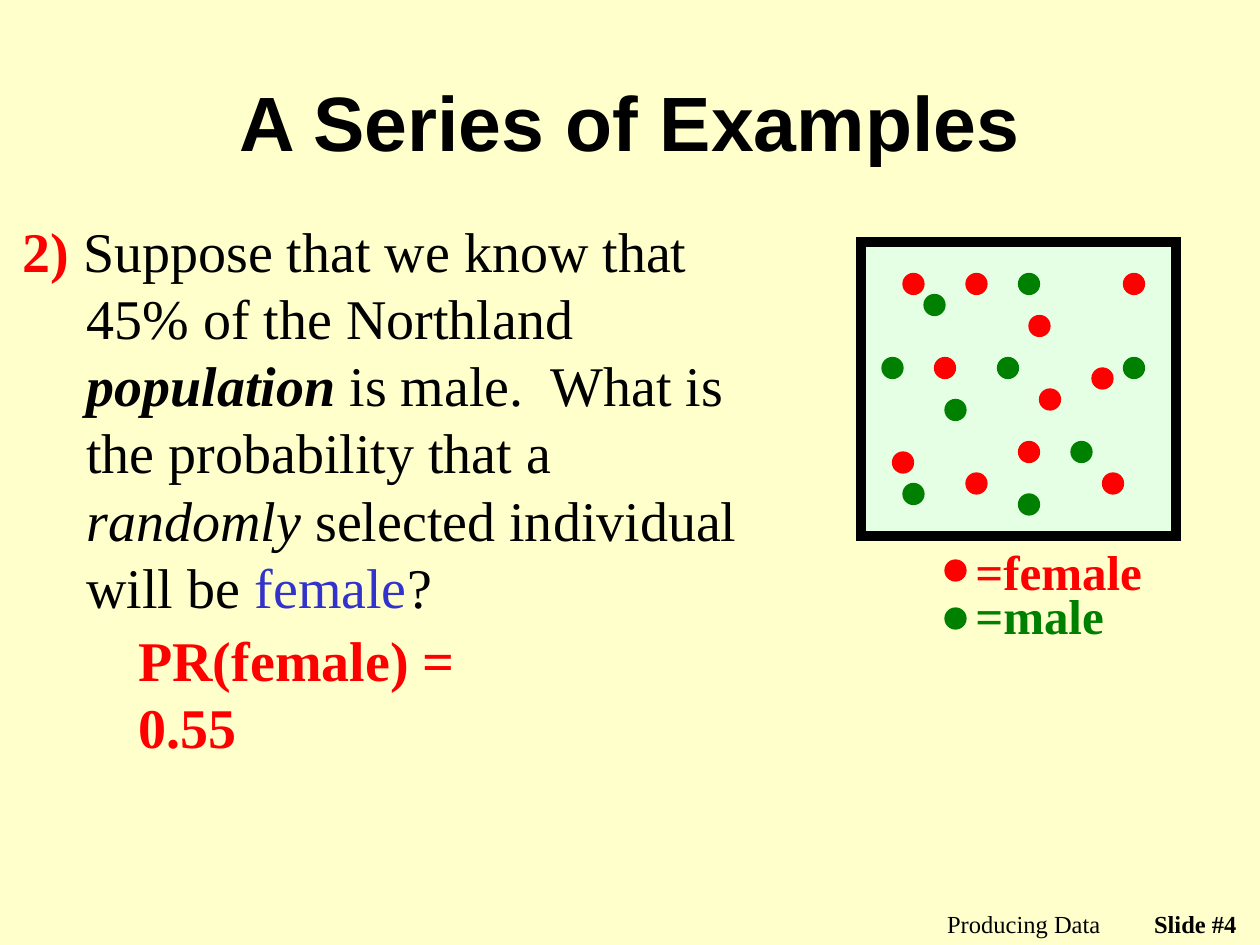
from dataclasses import dataclass

from lxml.etree import SubElement
from pptx import Presentation
from pptx.dml.color import RGBColor
from pptx.enum.shapes import MSO_SHAPE as Shape
from pptx.enum.text import MSO_ANCHOR as Anchor, MSO_AUTO_SIZE as AutoSize, PP_ALIGN as Align
from pptx.oxml.ns import qn
from pptx.util import Pt

PX = 914400 / 126


@dataclass(frozen=True)
class Theme:
    background: str = "FFFFCC"
    ink: str = "000000"
    female: str = "FF0000"
    male: str = "008000"
    accent: str = "3333CC"
    population: str = "CCFFFF"
    heading_font: str = "Arial"
    body_font: str = "Times New Roman"
    title_size: int = 44
    body_size: int = 32
    legend_size: int = 28
    footer_size: int = 14


THEME = Theme()
DOT = 21

# Dot positions inside the population, in half dots
FEMALES = [(7, 11), (3, 20), (10, 3), (22, 12), (15, 19), (16, 7),
           (17, 14), (10, 22), (23, 22), (4, 3), (25, 3)]
MALES = [(6, 5), (8, 15), (15, 3), (2, 11), (15, 24), (13, 11),
         (25, 11), (20, 19), (4, 23)]

QUESTION = [
    ("2) ", THEME.female, True, False),
    ("Suppose that we know that 45% of the Northland ", THEME.ink, False, False),
    ("population", THEME.ink, True, True),
    (" is male.  What is the probability that a ", THEME.ink, False, False),
    ("randomly", THEME.ink, False, True),
    (" selected individual will be ", THEME.ink, False, False),
    ("female", THEME.accent, False, False),
    ("?", THEME.ink, False, False),
]


def emu(*pixels):
    return [round(value * PX) for value in pixels]


def style_run(run, size, color, bold=False, italic=False, font=THEME.body_font):
    run.font.name, run.font.size = font, Pt(size)
    run.font.bold, run.font.italic = bold, italic
    run.font.color.rgb = RGBColor.from_string(color)


def add_text(slide, box, text, size, color, bold=False, font=THEME.body_font,
             align=Align.LEFT, anchor=Anchor.TOP):
    frame = slide.shapes.add_textbox(*emu(*box)).text_frame
    frame.word_wrap = True
    frame.vertical_anchor = anchor
    paragraph = frame.paragraphs[0]
    paragraph.text = text
    paragraph.alignment = align
    style_run(paragraph.runs[0], size, color, bold, font=font)
    return frame


def add_outlined(shapes, kind, box, fill, line, width):
    shape = shapes.add_shape(kind, *emu(*box))
    shape.shadow.inherit = False
    shape.fill.solid()
    shape.fill.fore_color.rgb = RGBColor.from_string(fill)
    shape.line.color.rgb = RGBColor.from_string(line)
    shape.line.width = Pt(width)
    return shape


def add_dot(shapes, left, top, color):
    add_outlined(shapes, Shape.OVAL, (left, top, DOT, DOT), color, color, 0.75)


def add_question(slide, box):
    frame = slide.shapes.add_textbox(*emu(*box)).text_frame
    frame.word_wrap = True
    paragraph = frame.paragraphs[0]
    for text, color, bold, italic in QUESTION:
        run = paragraph.add_run()
        run.text = text
        style_run(run, THEME.body_size, color, bold, italic)
    # Hanging indent and space before
    hanging = emu(64)[0]
    properties = paragraph._p.get_or_add_pPr()
    properties.set("marL", str(hanging))
    properties.set("indent", str(-hanging))
    before = SubElement(properties, qn("a:spcBef"))
    SubElement(before, qn("a:spcPct"), val="20000")


def add_population(slide, box):
    left, top = box[:2]
    shapes = slide.shapes.add_group_shape().shapes
    frame = add_outlined(shapes, Shape.RECTANGLE, box, THEME.population, THEME.ink, 6)
    # Half-transparent fill and square corners
    fill_color = frame._element.spPr.find(qn("a:solidFill"))[0]
    SubElement(fill_color, qn("a:alpha"), val="50000")
    SubElement(frame.line._get_or_add_ln(), qn("a:miter"), lim="800000")
    for color, people in ((THEME.female, FEMALES), (THEME.male, MALES)):
        for column, row in people:
            add_dot(shapes, left + column * DOT / 2, top + row * DOT / 2, color)


def add_legend(slide, box):
    left, top, width, _ = box
    entries = (("=female", THEME.female, 0, 25), ("=male", THEME.male, 44, 73))
    for label, color, label_top, dot_top in entries:
        add_text(slide, (left + 18, top + label_top, width - 18, 72), label,
                 THEME.legend_size, color, bold=True)
        add_dot(slide.shapes, left, top + dot_top, color)


def add_footer(slide, box):
    left, top, width, height = box
    source_width = 399
    add_text(slide, (left, top, source_width, height), "Producing Data",
             THEME.footer_size, THEME.ink, align=Align.RIGHT)
    add_text(slide, (left + source_width, top, width - source_width, height),
             "Slide #4", THEME.footer_size, THEME.ink, bold=True, align=Align.RIGHT)


def build_example_slide(deck):
    slide = deck.slides.add_slide(deck.slide_layouts[6])
    slide.background.fill.solid()
    slide.background.fill.fore_color.rgb = RGBColor.from_string(THEME.background)
    add_footer(slide, (714, 903, 535, 31))
    add_text(slide, (94, 42, 1072, 158), "A Series of Examples", THEME.title_size,
             THEME.ink, bold=True, font=THEME.heading_font,
             align=Align.CENTER, anchor=Anchor.MIDDLE)
    add_question(slide, (10, 210, 746, 462))
    answer = add_text(slide, (126, 619, 440, 79), "PR(female) = 0.55",
                      THEME.body_size, THEME.female, bold=True)
    answer.auto_size = AutoSize.SHAPE_TO_FIT_TEXT
    add_population(slide, (861, 242, 315, 294))
    add_legend(slide, (945, 535, 238, 116))


deck = Presentation()
deck.slide_width, deck.slide_height = emu(1260, 945)
build_example_slide(deck)
deck.save("out.pptx")
